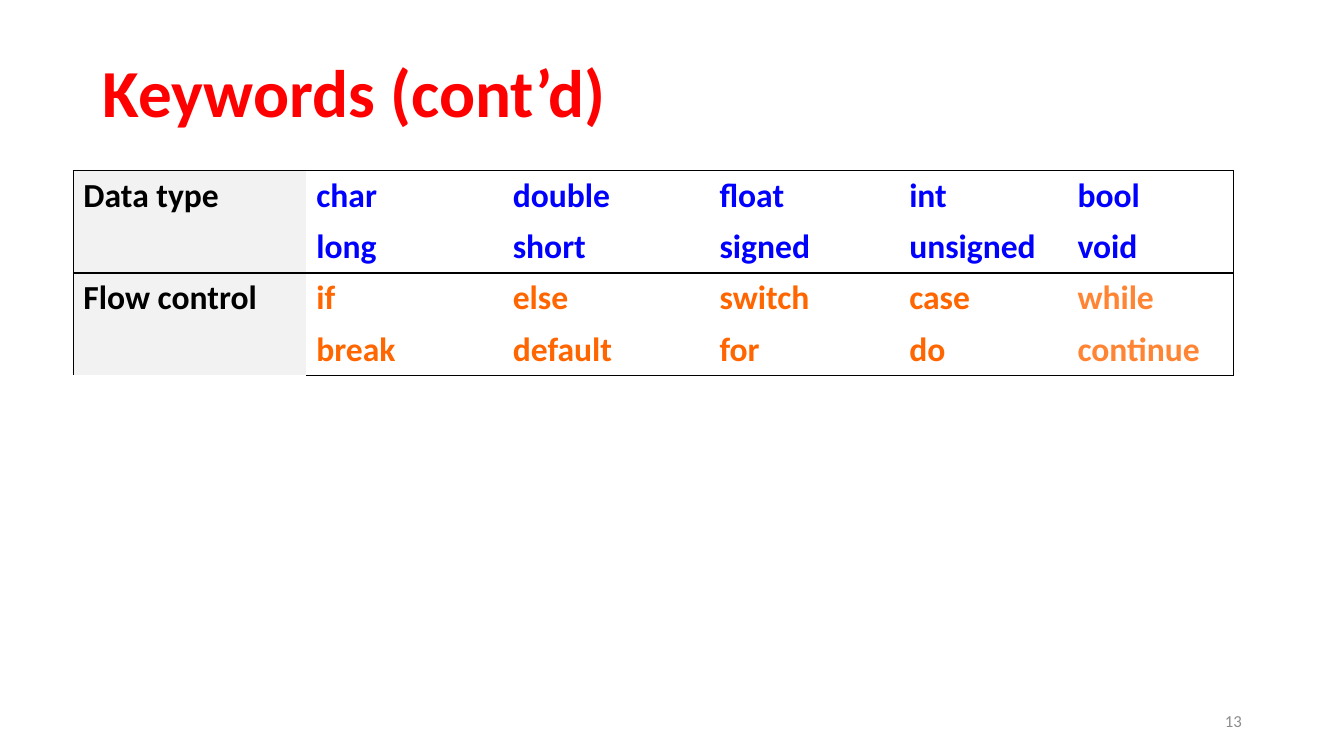
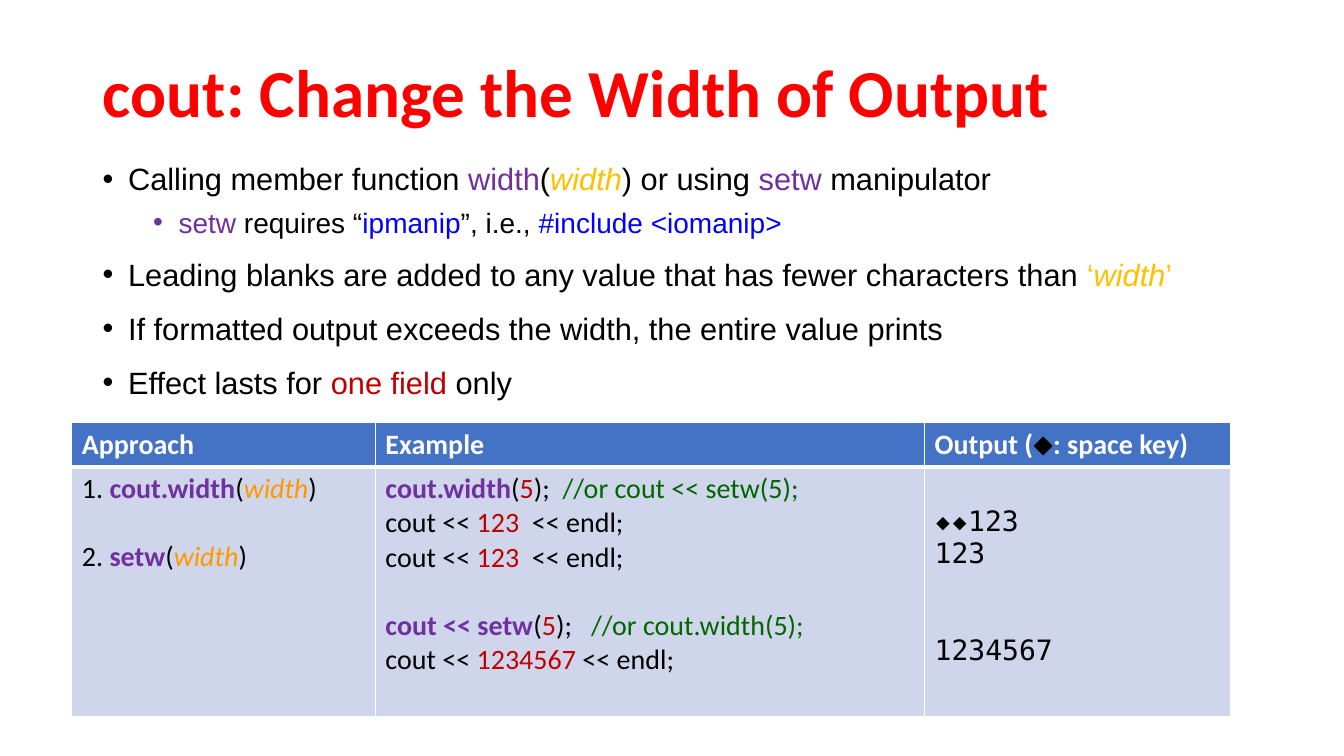
from lxml.etree import SubElement
from pptx import Presentation
from pptx.dml.color import RGBColor as RGB
from pptx.enum.text import MSO_ANCHOR as Anchor, MSO_AUTO_SIZE as AutoSize, PP_ALIGN as Align
from pptx.oxml.ns import qn
from pptx.util import Cm, Pt

BLACK, WHITE, RED = RGB(0, 0, 0), RGB(255, 255, 255), RGB(255, 0, 0)
GREY, PALE = RGB(0x8C, 0x8C, 0x8C), RGB(0xF2, 0xF2, 0xF2)
BLUE, HEADER, BAND = RGB(0, 0, 255), RGB(0x44, 0x72, 0xC4), RGB(0xCF, 0xD5, 0xEA)
PURPLE, GOLD, AMBER = RGB(0x70, 0x30, 0xA0), RGB(255, 0xC0, 0), RGB(255, 0x99, 0)
ORANGE, LIGHT_ORANGE = RGB(255, 0x66, 0), RGB(255, 0x85, 0x34)
CRIMSON, GREEN = RGB(0xC0, 0, 0), RGB(0, 0x66, 0)

TITLE = {"name": "Calibri", "size": Pt(48), "bold": True, "color": RED}
NUMBER = {"name": "Calibri", "size": Pt(12), "color": GREY}
KEYWORD = {"name": "Calibri", "size": Pt(24), "bold": True, "color": BLACK}
POINT = {"name": "Arial", "size": Pt(22), "color": BLACK}
HEAD = {"name": "Calibri", "size": Pt(20), "bold": True, "color": WHITE}
CODE = {"name": "Calibri", "size": Pt(20), "bold": False, "color": BLACK}
OUTPUT = {**CODE, "name": "DejaVu Sans Mono"}

PLAIN = {}
NAME = {"color": PURPLE}
CALL = {"color": PURPLE, "bold": True}
LIBRARY = {"color": BLUE}
QUOTE = {"color": GOLD}
WIDTH = {"color": GOLD, "italic": True}
ARG = {"color": AMBER, "italic": True}
VALUE = {"color": CRIMSON}
NOTE = {"color": GREEN}
SPACE = {"name": "Arial", "color": BLACK}

KEYWORDS = [
    ("Data type", BLUE, BLUE, ["char double float int bool", "long short signed unsigned void"]),
    ("Flow control", ORANGE, LIGHT_ORANGE,
     ["if else switch case while", "break default for do continue"]),
]
POINTS = [
    (0, 0, [("Calling member function ", PLAIN), ("width", NAME), ("(", PLAIN), ("width", WIDTH),
            (") or using ", PLAIN), ("setw", NAME), (" manipulator", PLAIN)]),
    (1, 6, [("setw", NAME), (" requires “", PLAIN), ("ipmanip", LIBRARY), ("”, i.e., ", PLAIN),
            ("#include <iomanip>", LIBRARY)]),
    (0, 12, [("Leading blanks are added to any value that has fewer characters than ", PLAIN),
             ("‘", QUOTE), ("width", WIDTH), ("’", QUOTE)]),
    (0, 12, [("If formatted output exceeds the width, the entire value prints", PLAIN)]),
    (0, 12, [("Effect lasts for ", PLAIN), ("one field ", VALUE), ("only", PLAIN)]),
]
HEADINGS = [
    [("Approach", PLAIN)],
    [("Example", PLAIN)],
    [("Output (", PLAIN), ("⬥", SPACE), (": space key)", PLAIN)],
]
PRINT_123 = [("cout << ", PLAIN), ("123", VALUE), ("  << endl;", PLAIN)]
APPROACHES = [
    (0, [("1. ", PLAIN), ("cout.width", CALL), ("(", PLAIN), ("width", ARG), (")", PLAIN)]),
    (24.4, [("2. ", PLAIN), ("setw", CALL), ("(", PLAIN), ("width", ARG), (")", PLAIN)]),
]
EXAMPLES = [
    (0, [("cout.width", CALL), ("(", PLAIN), ("5", VALUE), (");  ", PLAIN),
         ("//or cout << setw(5);", NOTE)]),
    (0, PRINT_123),
    (0, PRINT_123),
    (24.4, [("cout << setw", CALL), ("(", PLAIN), ("5", VALUE), (");", PLAIN),
            ("   //or cout.width(5);", NOTE)]),
    (0, [("cout << ", PLAIN), ("1234567", VALUE), (" << endl;", PLAIN)]),
]
OUTPUTS = [
    (0, [("⬥⬥123", PLAIN)]),
    (0, [("123", PLAIN)]),
    (46, [("1234567", PLAIN)]),
]


class Deck:
    """Hold the shared style and the current slide."""

    def __init__(self):
        self.prs = Presentation()
        self.prs.slide_width, self.prs.slide_height = Cm(33.87), Cm(19.05)
        self.s = None

    def style(self, target, values):
        for key, value in values.items():
            if key == "color":
                target.color.rgb = value
            else:
                setattr(target, key, value)

    def runs(self, p, runs, base, **layout):
        self.style(p, layout)
        for text, extra in runs:
            r = p.add_run()
            r.text = text
            self.style(r.font, {**base, **extra})

    def lines(self, tf, rows, base):
        for i, (before, runs) in enumerate(rows):
            p = tf.add_paragraph() if i else tf.paragraphs[0]
            self.runs(p, runs, base, space_before=Pt(before))

    def slide(self, title):
        self.s = self.prs.slides.add_slide(self.prs.slide_layouts[5])
        sp = self.s.shapes.title
        self.style(sp, {"left": Cm(2.34), "top": Cm(1.02), "width": Cm(29.21), "height": Cm(2.79)})
        tf = sp.text_frame
        self.style(tf, {"auto_size": AutoSize.NONE, "vertical_anchor": Anchor.MIDDLE})
        self.runs(tf.paragraphs[0], [(title, PLAIN)], TITLE,
                  alignment=Align.LEFT, line_spacing=0.9)

    def textbox(self, x, y, w, h, anchor=Anchor.TOP):
        tf = self.s.shapes.add_textbox(Cm(x), Cm(y), Cm(w), Cm(h)).text_frame
        self.style(tf, {"word_wrap": True, "vertical_anchor": anchor})
        return tf

    def number(self, text):
        tf = self.textbox(23.93, 17.65, 7.62, 1.02, Anchor.MIDDLE)
        self.runs(tf.paragraphs[0], [(text, PLAIN)], NUMBER, alignment=Align.RIGHT)

    def bullets(self, points):
        tf = self.textbox(2.34, 3.91, 31.06, 6.6)
        for i, (level, before, runs) in enumerate(points):
            p = tf.add_paragraph() if i else tf.paragraphs[0]
            ppr = p._p.get_or_add_pPr()
            ppr.set("marL", str(Cm(0.64 + 1.27 * level)))
            ppr.set("indent", str(-Cm(0.64)))
            SubElement(ppr, qn("a:buFont"), typeface="Arial")
            SubElement(ppr, qn("a:buChar"), char="•")
            self.runs(p, runs, {**POINT, "size": Pt(22 - 2 * level)},
                      level=level, space_before=Pt(before))

    def table(self, x, y, widths, heights):
        shape = self.s.shapes.add_table(len(heights), len(widths), Cm(x), Cm(y),
                                        Cm(sum(widths)), Cm(sum(heights)))
        table = shape.table
        table.first_row = table.horz_banding = False
        for column, width in zip(table.columns, widths):
            column.width = Cm(width)
        for row, height in zip(table.rows, heights):
            row.height = Cm(height)
        return table

    def cell(self, cell, fill, color, **borders):
        tcpr = cell._tc.get_or_add_tcPr()
        for side in "LRTB":
            width = borders.get(side, 0)
            ln = SubElement(tcpr, qn(f"a:ln{side}"), w=str(Pt(width)))
            paint = SubElement(ln, qn("a:solidFill" if width else "a:noFill"))
            if width:
                SubElement(paint, qn("a:srgbClr"), val=str(color))
        if fill is None:
            cell.fill.background()
        else:
            cell.fill.solid()
            cell.fill.fore_color.rgb = fill


def keywords(deck):
    """Build the keyword slide."""
    deck.slide("Keywords (cont’d)")
    deck.number("13")
    table = deck.table(1.85, 4.3, [5.87, 4.95, 5.21, 4.78, 4.24, 4.19], [1.29] * 4)
    for group, (label, color, last_color, rows) in enumerate(KEYWORDS):
        for half, words in enumerate(rows):
            row = 2 * group + half
            for col, word in enumerate(["", *words.split()]):
                cell = table.cell(row, col)
                deck.cell(cell, None if col else PALE, BLACK,
                          L=int(col == 0), R=int(col == 5), T=1 - half, B=half)
                if word:
                    deck.runs(cell.text_frame.paragraphs[0], [(word, PLAIN)],
                              {**KEYWORD, "color": last_color if col == 5 else color})
        head = table.cell(2 * group, 0)
        head.merge(table.cell(2 * group + 1, 0))
        deck.runs(head.text_frame.paragraphs[0], [(label, PLAIN)], KEYWORD)


def output_width(deck):
    """Build the output width slide."""
    deck.slide("cout: Change the Width of Output")
    deck.bullets(POINTS)
    table = deck.table(1.81, 10.65, [7.65, 13.84, 7.72], [1.11, 6.3])
    bodies = [(APPROACHES, CODE), (EXAMPLES, CODE), (OUTPUTS, OUTPUT)]
    for col, (heading, (rows, base)) in enumerate(zip(HEADINGS, bodies)):
        head, body = table.cell(0, col), table.cell(1, col)
        deck.cell(head, HEADER, WHITE, L=1, R=1, T=1, B=3)
        deck.cell(body, BAND, WHITE, L=1, R=1, T=3, B=1)
        deck.lines(head.text_frame, [(0, heading)], HEAD)
        deck.lines(body.text_frame, rows, base)
    table.cell(1, 2).margin_top = Cm(0.97)


def main():
    """Build and save the deck."""
    deck = Deck()
    keywords(deck)
    output_width(deck)
    deck.prs.save("out.pptx")


if __name__ == "__main__":
    main()
